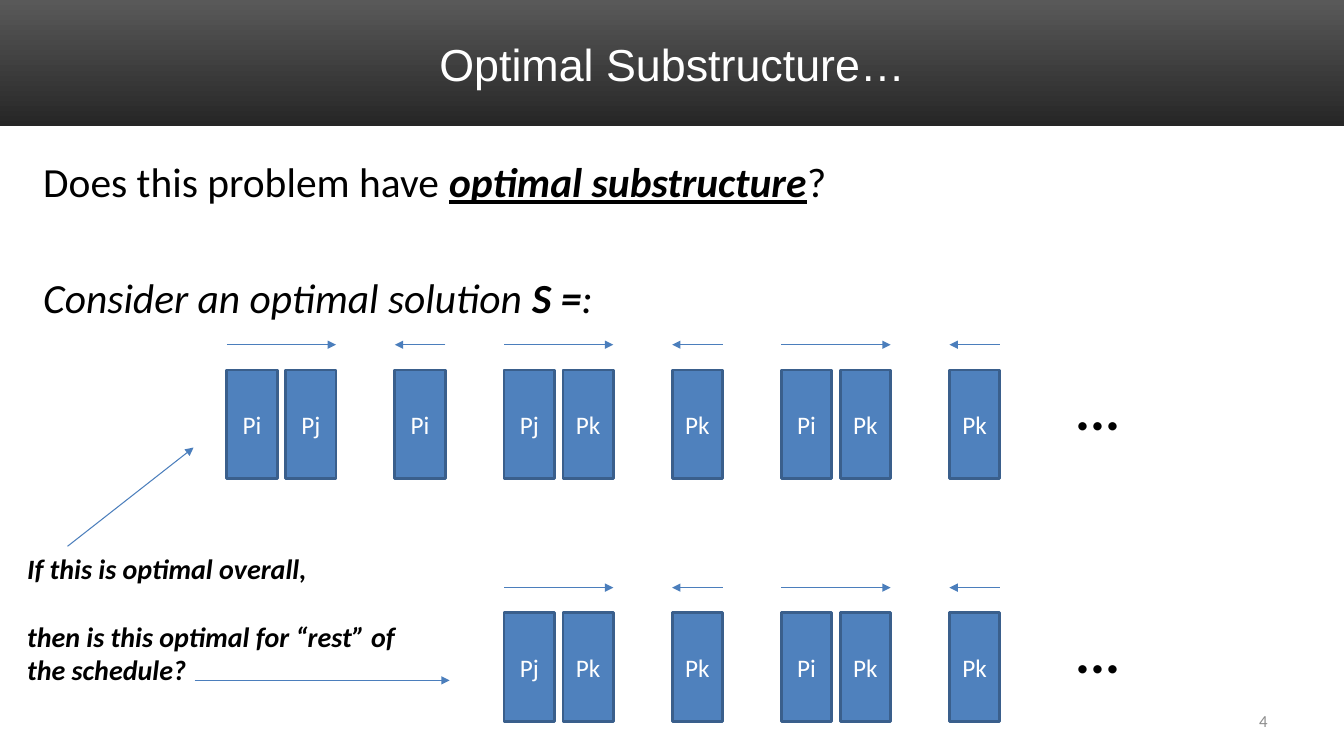
from pptx import Presentation
from pptx import util as u
from pptx.dml.color import RGBColor
from pptx.enum import shapes, text
from pptx.oxml import ns, xmlchemy

HUES = {"top": "595959", "base": "262626", "white": "FFFFFF", "ink": "000000",
        "bar": "4F81BD", "edge": "3A5F8C", "arrow": "4B7EBC", "page": "8C8C8C"}
GROUPS = [["Pi", "Pj"], ["Pi"], ["Pj", "Pk"], ["Pk"], ["Pi", "Pk"], ["Pk"]]
WIDE, HIGH, STEP = 0.5, 1.08, 7 / 12


def hue(name):
    return RGBColor.from_string(HUES[name])


def box(*sizes):
    return [u.Inches(n) for n in sizes]


class Deck:
    face = "Calibri"

    def __init__(self):
        self.prs = Presentation()
        self.prs.slide_width, self.prs.slide_height = box(13.33, 7.5)
        self.slide = self.prs.slides.add_slide(self.prs.slide_layouts[5])
        self.items = self.slide.shapes

    def style(self, run, size, color="ink", marks="", face=None):
        font = run.font
        font.name, font.size = face or self.face, u.Pt(size)
        font.color.rgb = hue(color)
        font.bold, font.italic = "b" in marks, "i" in marks
        font.underline = "u" in marks

    def title(self, words):
        item = self.items.title
        item.left, item.top, item.width, item.height = box(0.67, 0.17, 12, 0.92)
        frame = item.text_frame
        frame.text = words
        frame.vertical_anchor = text.MSO_ANCHOR.MIDDLE
        frame.paragraphs[0].alignment = text.PP_ALIGN.CENTER
        self.style(frame.paragraphs[0].runs[0], 32, "white", face="Arial")

    def band(self):
        item = self.items.add_shape(shapes.MSO_SHAPE.RECTANGLE, *box(0, 0, 13.33, 1.25))
        item.shadow.inherit = False
        item.line.fill.background()
        item.fill.gradient()
        item.fill.gradient_angle = 270
        for stop, name in zip(item.fill.gradient_stops, ("top", "base")):
            stop.color.rgb = hue(name)
        self.items.title.element.addprevious(item.element)

    def note(self, area, lines, size, gap=0, color="ink", grow=True):
        frame = self.items.add_textbox(*box(*area)).text_frame
        frame.word_wrap = True
        if grow:
            frame.auto_size = text.MSO_AUTO_SIZE.SHAPE_TO_FIT_TEXT
        for i, line in enumerate(lines):
            para = frame.add_paragraph() if i else frame.paragraphs[0]
            if i:
                para.space_before = u.Pt(gap)
            for words, marks in line:
                run = para.add_run()
                run.text = words
                self.style(run, size, color, marks)
        return frame

    def bar(self, x, y, name):
        item = self.items.add_shape(shapes.MSO_SHAPE.RECTANGLE, *box(x, y, WIDE, HIGH))
        item.shadow.inherit = False
        item.fill.solid()
        item.fill.fore_color.rgb = hue("bar")
        item.line.color.rgb = hue("edge")
        item.line.width = u.Pt(2)
        frame = item.text_frame
        frame.text = name
        frame.vertical_anchor = text.MSO_ANCHOR.MIDDLE
        frame.paragraphs[0].alignment = text.PP_ALIGN.CENTER
        self.style(frame.paragraphs[0].runs[0], 18, "white")

    def arrow(self, *ends):
        item = self.items.add_connector(shapes.MSO_CONNECTOR.STRAIGHT, *box(*ends))
        item.line.color.rgb = hue("arrow")
        item.line.width = u.Pt(0.75)
        tip = xmlchemy.OxmlElement("a:tailEnd")
        tip.set("type", "triangle")
        props = item.element.find(ns.qn("p:spPr"))
        props.find(ns.qn("a:ln")).append(tip)
        props.append(xmlchemy.OxmlElement("a:effectLst"))

    def row(self, x, y, groups):
        for group in groups:
            for i, name in enumerate(group):
                self.bar(x + i * STEP, y, name)
            end = x + (len(group) - 1) * STEP + WIDE
            start, stop = (x, end) if len(group) > 1 else (end, x)
            self.arrow(start, y - 0.25, stop, y - 0.25)
            x += len(group) * STEP + WIDE
        self.note((10.58, y, 2.58, 0.77), [[("...", "bi")]], 40)


def main():
    deck = Deck()
    deck.band()
    deck.title("Optimal Substructure…")
    deck.note((0.33, 1.5, 12.58, 1.58), [
        [("Does this problem have ", ""), ("optimal substructure", "biu"), ("?", "")],
        [("Consider an optimal solution ", "i"), ("S =", "bi"), (":", "i")],
    ], 29.6, gap=47, grow=False)
    page = deck.note((9.56, 6.95, 3.11, 0.4), [[("4", "")]], 12, color="page", grow=False)
    page.vertical_anchor = text.MSO_ANCHOR.MIDDLE
    page.paragraphs[0].alignment = text.PP_ALIGN.RIGHT
    deck.row(2.25, 3.67, GROUPS)
    deck.row(5, 6.08, GROUPS[2:])
    deck.note((0.17, 5.42, 4.21, 1.45), [
        [("If this is optimal overall,", "bi")],
        [("then is this optimal for “rest” of the schedule?", "bi")],
    ], 20, gap=24.4)
    deck.arrow(0.67, 5.42, 1.92, 4.44)
    deck.arrow(1.93, 6.75, 4.46, 6.75)
    deck.prs.save("out.pptx")


if __name__ == "__main__":
    main()
